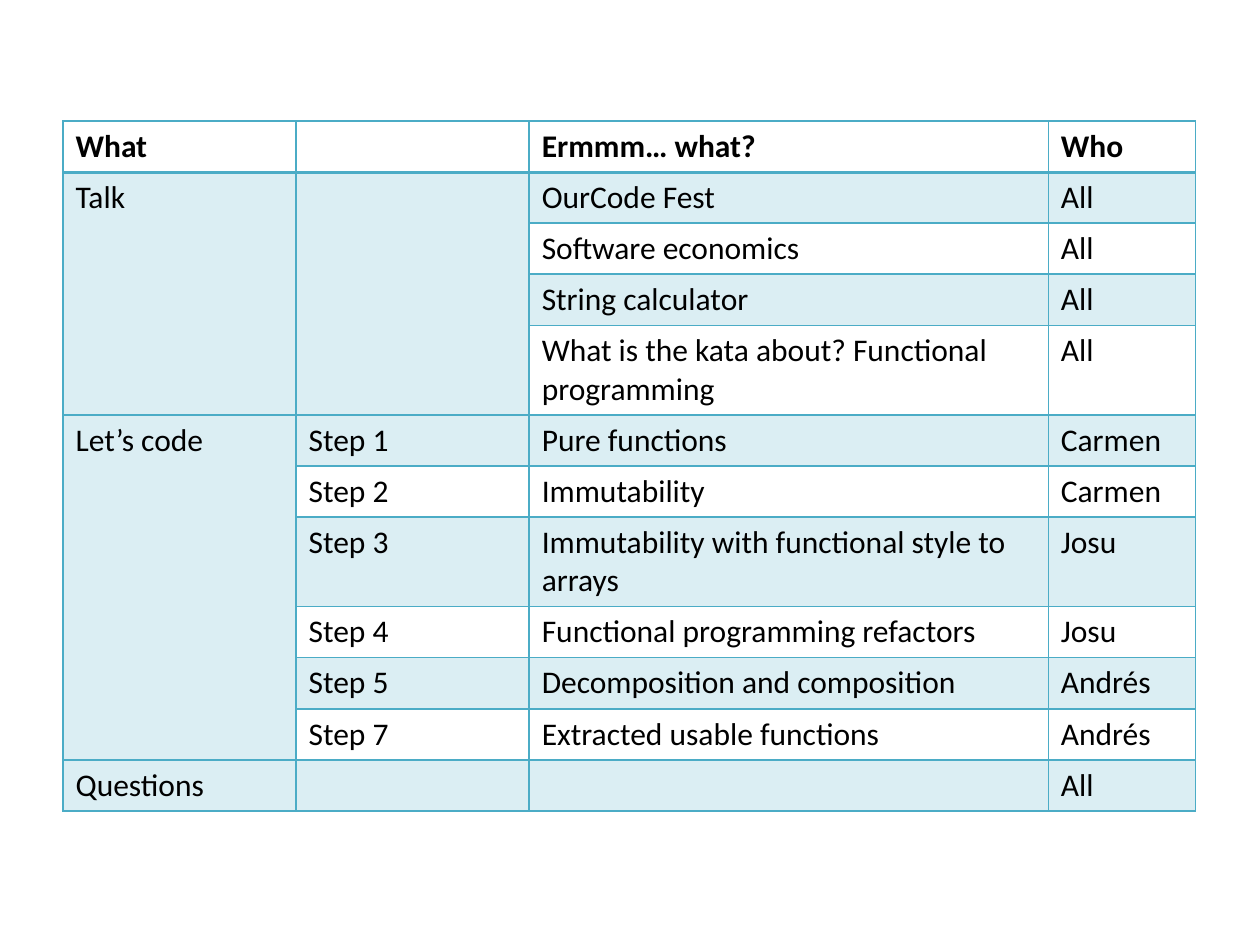
from lxml import etree
from pptx import Presentation
from pptx.dml.color import RGBColor
from pptx.oxml import ns
from pptx.util import Inches, Pt

TEAL = RGBColor(0x4B, 0xAC, 0xC6)
BLACK = RGBColor(0, 0, 0)
BAND_ALPHA = 20000
COLUMN_WIDTHS = [1.85, 1.85, 4.12, 1.17]
ROW_HEIGHT = 0.4
TALL_ROW_HEIGHT = 0.71
TALL_ROWS = {4, 7}

AGENDA = [
    ("What", "", "Ermmm… what?", "Who"),
    ("Talk", "", "OurCode Fest", "All"),
    ("", "", "Software economics", "All"),
    ("", "", "String calculator", "All"),
    ("", "", "What is the kata about? Functional programming", "All"),
    ("Let’s code", "Step 1", "Pure functions", "Carmen"),
    ("", "Step 2", "Immutability", "Carmen"),
    ("", "Step 3", "Immutability with functional style to arrays", "Josu"),
    ("", "Step 4", "Functional programming refactors", "Josu"),
    ("", "Step 5", "Decomposition and composition", "Andrés"),
    ("", "Step 7", "Extracted usable functions", "Andrés"),
    ("Questions", "", "", "All"),
]
# Column, first row, last row
MERGES = [(0, 1, 4), (1, 1, 4), (0, 5, 10)]


def add_border(properties, position, side, width):
    line = etree.Element(ns.qn(f"a:{side}"), w=str(Pt(width)))
    fill = etree.SubElement(line, ns.qn("a:solidFill"))
    etree.SubElement(fill, ns.qn("a:srgbClr"), val=str(TEAL))
    properties.insert(position, line)


presentation = Presentation()
presentation.slide_width = Inches(10)
presentation.slide_height = Inches(7.5)
slide = presentation.slides.add_slide(presentation.slide_layouts[6])

# Agenda table
frame = slide.shapes.add_table(
    len(AGENDA), len(COLUMN_WIDTHS), Inches(0.5), Inches(0.96), Inches(9), Inches(5.45)
)
table = frame.table
for column, width in zip(table.columns, COLUMN_WIDTHS):
    column.width = Inches(width)
for row_index, row in enumerate(table.rows):
    row.height = Inches(TALL_ROW_HEIGHT if row_index in TALL_ROWS else ROW_HEIGHT)

# Text, banding and borders
for row_index, texts in enumerate(AGENDA):
    for column_index, text in enumerate(texts):
        cell = table.cell(row_index, column_index)
        cell.text = text
        font = cell.text_frame.paragraphs[0].font
        font.name = "Calibri"
        font.size = Pt(18)
        font.bold = row_index == 0
        font.color.rgb = BLACK

        properties = cell._tc.get_or_add_tcPr()
        if row_index % 2:
            cell.fill.solid()
            cell.fill.fore_color.rgb = TEAL
            color = properties.find(".//" + ns.qn("a:srgbClr"))
            etree.SubElement(color, ns.qn("a:alpha"), val=str(BAND_ALPHA))
        else:
            cell.fill.background()

        widths = {
            "lnL": 1,
            "lnR": 1,
            "lnT": 2 if row_index == 1 else 1,
            "lnB": 2 if row_index == 0 else 1,
        }
        for position, (side, width) in enumerate(widths.items()):
            add_border(properties, position, side, width)

# Merged section cells
for column_index, first, last in MERGES:
    table.cell(first, column_index).merge(table.cell(last, column_index))

presentation.save("out.pptx")
